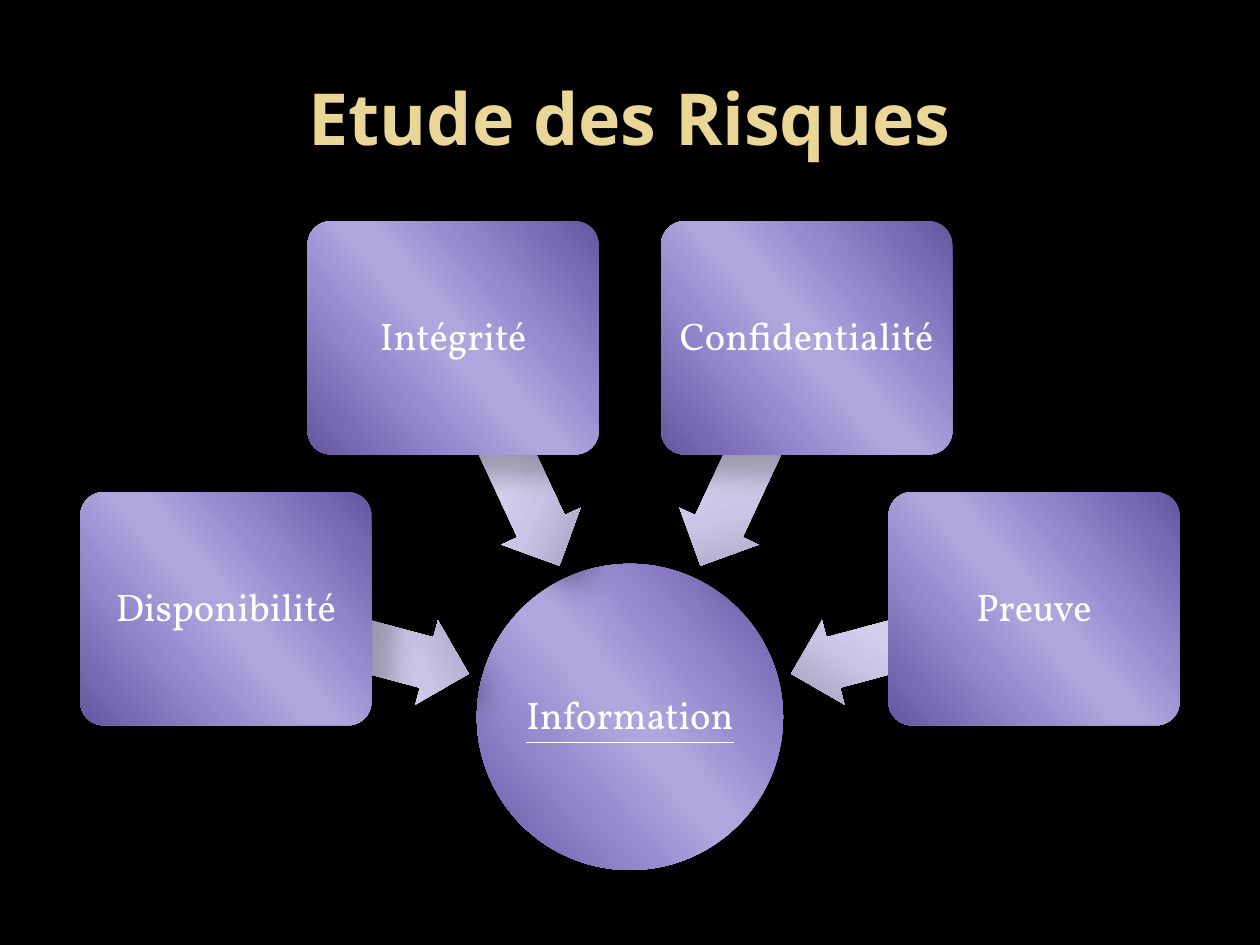
"""Build a slide showing four security criteria converging on information."""
from math import cos, radians, sin

from lxml.etree import SubElement
from pptx import Presentation
from pptx.dml.color import RGBColor
from pptx.enum.shapes import MSO_SHAPE as Shape
from pptx.enum.text import MSO_ANCHOR as Anchor, PP_ALIGN as Align
from pptx.oxml.ns import qn
from pptx.util import Inches, Pt

TITLE = "Etude des Risques"
HUB = "Information"
CRITERIA = [
    ("Disponibilité", 195),
    ("Intégrité", 245),
    ("Confidentialité", 295),
    ("Preuve", 345),
]

BLACK = RGBColor(0x00, 0x00, 0x00)
WHITE = RGBColor(0xFF, 0xFF, 0xFF)
GOLD = RGBColor(0xEA, 0xD6, 0x96)
PURPLE_DARK = RGBColor(0x65, 0x56, 0xA1)
PURPLE = RGBColor(0x98, 0x8C, 0xD1)
PURPLE_LIGHT = RGBColor(0xAF, 0xA6, 0xDD)
LILAC_DARK = RGBColor(0x99, 0x95, 0xB4)
LILAC = RGBColor(0xCA, 0xC5, 0xE5)
LILAC_LIGHT = RGBColor(0xD4, 0xCF, 0xEB)

STOPS = (0, 33, 47, 53, 68, 100)
NODE_SHADES = (PURPLE_DARK, PURPLE, PURPLE_LIGHT)
ARROW_SHADES = (LILAC_DARK, LILAC, LILAC_LIGHT)
GRADIENT_ANGLE = 221

CENTER_X, CENTER_Y = 5, 5.69
HUB_SIZE = (2.43, 2.43)
BOX_SIZE, BOX_RADIUS = (2.31, 1.85), 3.32
ARROW_SIZE, ARROW_RADIUS = (1.99, 0.69), 2.32


def fill_gradient(shape, shades):
    shape.fill.gradient()
    shape.fill.gradient_angle = GRADIENT_ANGLE
    stop_list = shape.fill._xPr.find(qn("a:gradFill")).find(qn("a:gsLst"))
    for stop in list(stop_list):
        stop_list.remove(stop)
    for position, color in zip(STOPS, shades + shades[::-1]):
        stop = SubElement(stop_list, qn("a:gs"), pos=str(position * 1000))
        SubElement(stop, qn("a:srgbClr"), val=str(color))


def cast_shadow(shape):
    shape.shadow.inherit = False
    effects = shape._element.spPr.find(qn("a:effectLst"))
    shadow = SubElement(
        effects, qn("a:outerShdw"), blurRad=str(Pt(15)), dist=str(Pt(18)),
        dir=str(45 * 60000), rotWithShape="0")
    color = SubElement(shadow, qn("a:srgbClr"), val=str(BLACK))
    SubElement(color, qn("a:alpha"), val="26000")


def add_part(slide, kind, size, shades, angle=0, radius=0):
    width, height = size
    left = CENTER_X + radius * cos(radians(angle)) - width / 2
    top = CENTER_Y + radius * sin(radians(angle)) - height / 2
    shape = slide.shapes.add_shape(
        kind, Inches(left), Inches(top), Inches(width), Inches(height))
    fill_gradient(shape, shades)
    shape.line.fill.background()
    cast_shadow(shape)
    return shape


def write(shape, text, font, size, color, bold=False, underline=False, inset=0.05):
    frame = shape.text_frame
    frame.word_wrap = True
    frame.vertical_anchor = Anchor.MIDDLE
    frame.margin_left = frame.margin_right = Inches(inset)
    frame.margin_top = frame.margin_bottom = Inches(inset)
    paragraph = frame.paragraphs[0]
    paragraph.alignment = Align.CENTER
    run = paragraph.add_run()
    run.text = text
    run.font.name = font
    run.font.size = Pt(size)
    run.font.color.rgb = color
    run.font.bold = bold
    run.font.underline = underline
    return paragraph


def main():
    presentation = Presentation()
    presentation.slide_width = Inches(10)
    presentation.slide_height = Inches(7.5)
    slide = presentation.slides.add_slide(presentation.slide_layouts[6])
    slide.background.fill.solid()
    slide.background.fill.fore_color.rgb = BLACK

    title = slide.shapes.add_textbox(Inches(0.5), Inches(0.3), Inches(9), Inches(1.25))
    write(title, TITLE, "Open Sans", 41, GOLD, bold=True)

    hub = add_part(slide, Shape.OVAL, HUB_SIZE, NODE_SHADES)
    write(hub, HUB, "Vollkorn", 22, WHITE, underline=True, inset=0.02).line_spacing = 0.9

    for name, angle in CRITERIA:
        arrow = add_part(slide, Shape.LEFT_ARROW, ARROW_SIZE, ARROW_SHADES, angle, ARROW_RADIUS)
        arrow.rotation = angle
        arrow.adjustments[0] = 0.6
        arrow.adjustments[1] = 0.5
        box = add_part(slide, Shape.ROUNDED_RECTANGLE, BOX_SIZE, NODE_SHADES, angle, BOX_RADIUS)
        box.adjustments[0] = 0.1
        write(box, name, "Vollkorn", 22, WHITE).line_spacing = 0.9

    presentation.save("out.pptx")


if __name__ == "__main__":
    main()
